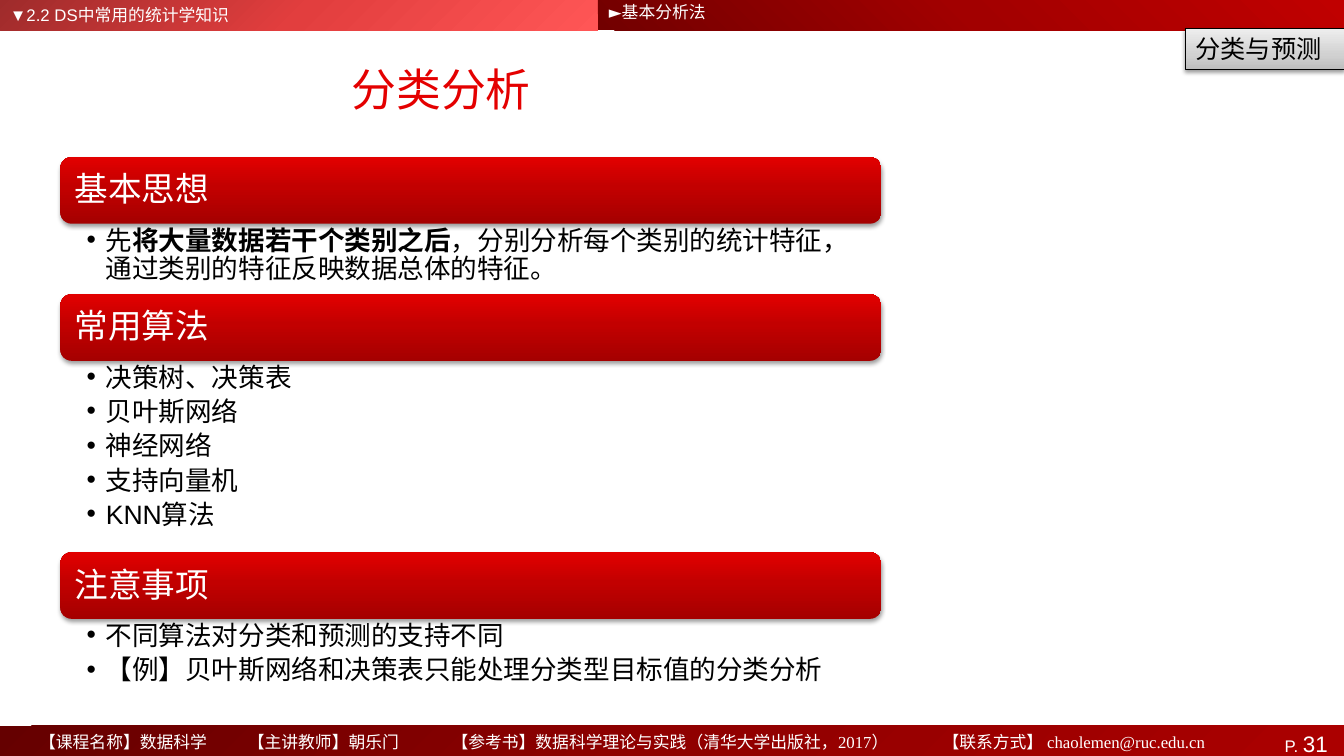
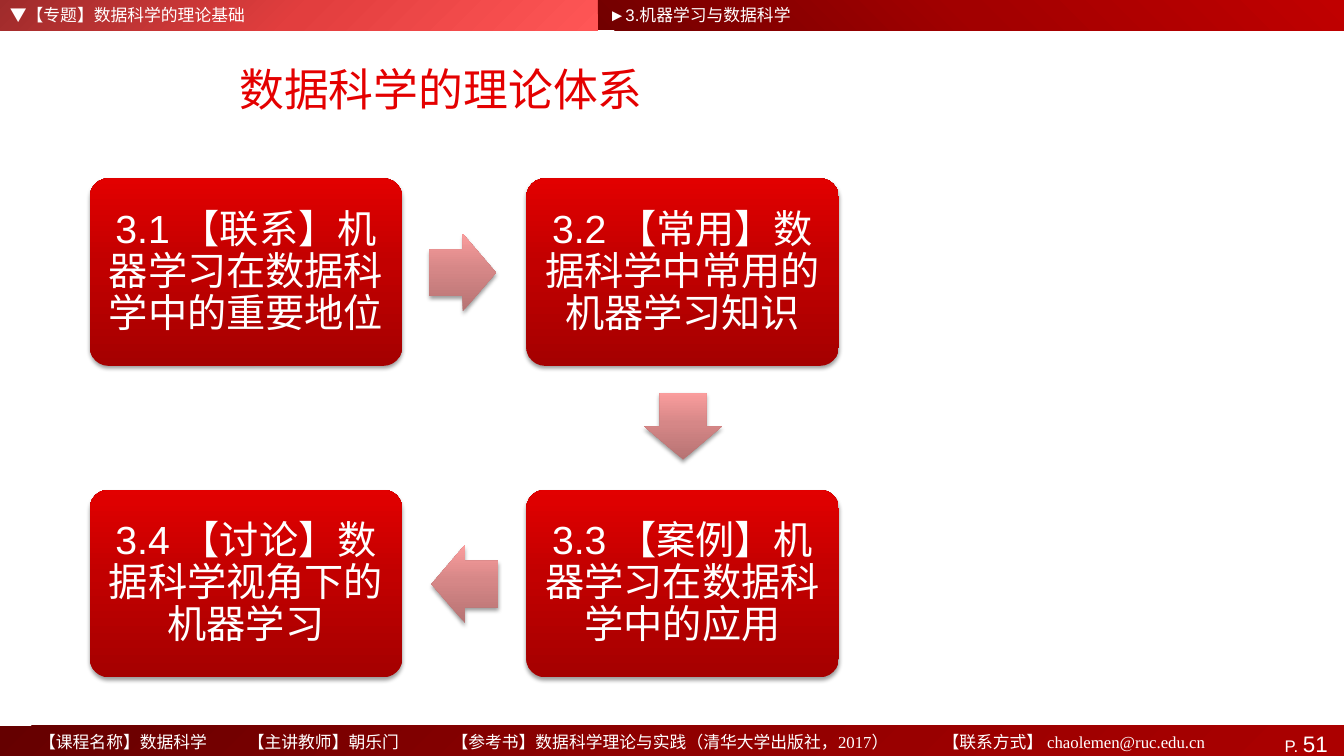
from dataclasses import dataclass
from itertools import pairwise

import pptx
import pptx.dml.color
import pptx.enum.shapes
import pptx.enum.text
import pptx.oxml
import pptx.oxml.ns
import pptx.util
from lxml import etree

Preset = pptx.enum.shapes.MSO_SHAPE
Align = pptx.enum.text.PP_ALIGN
Anchor = pptx.enum.text.MSO_ANCHOR
qn = pptx.oxml.ns.qn

# Shared look: 100 px to the inch
EMU_PER_PX = 9144
PAGE_WIDTH, PAGE_HEIGHT = 1333, 750
LATIN, SERIF, HAN = "Arial", "Times New Roman", "Noto Sans CJK SC"
WHITE, BLACK, TITLE_RED = "FFFFFF", "000000", "E40000"


@dataclass(frozen=True)
class Gradient:
    stops: tuple[tuple[int, str], ...]
    angle: int  # clockwise degrees


@dataclass(frozen=True)
class Area:
    left: int
    top: int
    width: int
    height: int

    @property
    def center(self) -> tuple[int, int]:
        return self.left + self.width // 2, self.top + self.height // 2


@dataclass(frozen=True)
class Span:
    text: str
    bold: bool = False
    size: int | None = None


@dataclass(frozen=True)
class Topic:
    top: int
    heading: str
    body_height: int
    bullets: tuple[tuple[Span, ...], ...]


CHAPTER_BAND = Gradient(((0, "9F2B2B"), (50, "E23E3E"), (100, "FF5656")), 45)
SECTION_BAND = Gradient(((0, "720000"), (50, "A20000"), (100, "C00000")), 315)
FOOTER_BAND = Gradient(((0, "650000"), (50, "900000"), (100, "AB0000")), 45)
RED_FILL = Gradient(((0, "A50000"), (55, "C20000"), (100, "E20000")), 270)
PINK_FILL = Gradient(((0, "B67373"), (55, "D68787"), (100, "FA9D9D")), 270)
GRAY_FILL = Gradient(((0, "BDBDBD"), (35, "D1D1D1"), (100, "EEEEEE")), 270)

FOOTER = "\t".join((
    "【课程名称】数据科学",
    "【主讲教师】朝乐门",
    "【参考书】数据科学理论与实践（清华大学出版社，2017）",
    "【联系方式】 chaolemen@ruc.edu.cn",
))
FOOTER_TABS = (207, 409, 896)


# Helpers
def px(length: int) -> int:
    return pptx.util.Emu(length * EMU_PER_PX)


def color(value: str) -> pptx.dml.color.RGBColor:
    return pptx.dml.color.RGBColor.from_string(value)


def place(area: Area) -> tuple[int, ...]:
    return tuple(map(px, (area.left, area.top, area.width, area.height)))


def fill_gradient(shape, gradient: Gradient) -> None:
    shape.fill.gradient()
    shape.fill.gradient_angle = (360 - gradient.angle) % 360
    stop_list = shape._element.spPr.find(".//" + qn("a:gsLst"))
    for old_stop in list(stop_list):
        stop_list.remove(old_stop)
    for position, value in gradient.stops:
        stop = etree.SubElement(stop_list, qn("a:gs"), pos=str(position * 1000))
        etree.SubElement(stop, qn("a:srgbClr"), val=value)


def add_shadow(shape) -> None:
    effects = shape._element.spPr.find(qn("a:effectLst"))
    shadow = etree.SubElement(
        effects, qn("a:outerShdw"), blurRad=str(pptx.util.Pt(3.1)),
        dist=str(pptx.util.Pt(2)), dir="5400000", rotWithShape="0")
    tint = etree.SubElement(shadow, qn("a:srgbClr"), val=BLACK)
    etree.SubElement(tint, qn("a:alpha"), val="38000")


def add_block(page, preset, area: Area, gradient: Gradient, *,
              shadow: bool = False, line: str | None = None,
              adjustments: tuple[float, ...] = ()):
    shape = page.shapes.add_shape(preset, *place(area))
    for index, value in enumerate(adjustments):
        shape.adjustments[index] = value
    fill_gradient(shape, gradient)
    if line:
        shape.line.color.rgb = color(line)
        shape.line.width = pptx.util.Pt(0.5)
    else:
        shape.line.fill.background()
    shape.shadow.inherit = False
    if shadow:
        add_shadow(shape)
    return shape


def add_bullet(para, indent: int) -> None:
    properties = para._p.get_or_add_pPr()
    properties.set("marL", str(px(indent)))
    properties.set("indent", str(px(-indent)))
    etree.SubElement(properties, qn("a:buFont"), typeface=LATIN)
    etree.SubElement(properties, qn("a:buChar"), char="•")


def add_tabs(para, stops: tuple[int, ...]) -> None:
    tab_list = etree.SubElement(para._p.get_or_add_pPr(), qn("a:tabLst"))
    for stop in stops:
        etree.SubElement(tab_list, qn("a:tab"), pos=str(px(stop)), algn="l")


def write(box, paragraphs: tuple[tuple[Span, ...], ...], *, size: int,
          ink: str = WHITE, font: str = LATIN, align=Align.LEFT,
          anchor=Anchor.TOP, inset: tuple[int, ...] = (10, 5, 10, 5),
          line: float | None = None, after: int = 0, bullet: int = 0,
          tabs: tuple[int, ...] = ()) -> None:
    frame = box.text_frame
    frame.word_wrap = True
    frame.vertical_anchor = anchor
    (frame.margin_left, frame.margin_top,
     frame.margin_right, frame.margin_bottom) = map(px, inset)
    for index, spans in enumerate(paragraphs):
        para = frame.add_paragraph() if index else frame.paragraphs[0]
        if bullet:
            add_bullet(para, bullet)
        if tabs:
            add_tabs(para, tabs)
        para.alignment = align
        para.space_after = pptx.util.Pt(after)
        if line:
            para.line_spacing = pptx.util.Pt(line)
        for span in spans:
            run = para.add_run()
            run.text = span.text
            run.font.size = pptx.util.Pt(span.size or size)
            run.font.bold = span.bold
            run.font.color.rgb = color(ink)
            run.font.name = font
            latin = run._r.rPr.find(qn("a:latin"))
            latin.addnext(latin.makeelement(qn("a:ea"), {"typeface": HAN}))


def add_text(page, area: Area, *paragraphs: tuple[Span, ...], **style) -> None:
    write(page.shapes.add_textbox(*place(area)), paragraphs, **style)


# Bands, title and footer of every page
def add_page(deck, number: int, title: str, chapter: str, section: str,
             section_line: int = 14):
    page = deck.slides.add_slide(deck.slide_layouts[6])
    split = 593
    add_block(page, Preset.RECTANGLE, Area(0, 0, split, 30), CHAPTER_BAND)
    footer = add_block(
        page, Preset.RECTANGLE, Area(0, 720, PAGE_WIDTH, 30), FOOTER_BAND)
    write(footer, ((Span("P. "), Span(str(number), size=16)),), size=12,
          align=Align.RIGHT, inset=(10, 4, 16, 0))
    add_block(page, Preset.RECTANGLE,
              Area(split, 0, PAGE_WIDTH - split, 30), SECTION_BAND)
    add_text(page, Area(29, 722, 1226, 28), (Span(FOOTER),), size=12,
             font=SERIF, line=14, inset=(10, 5, 10, 0), tabs=FOOTER_TABS)
    add_text(page, Area(43, 43, 789, 90), (Span(title),), size=32,
             ink=TITLE_RED, font=HAN, align=Align.CENTER, anchor=Anchor.MIDDLE)
    for left, width, label, line in ((0, 483, chapter, 14),
                                     (split + 1, 372, section, section_line)):
        add_text(page, Area(left, 0, width, 29), (Span(label),), size=12, line=line)
    return page


# Page 31: headings with bullets
TOPICS = (
    Topic(156, "基本思想", 69, ((
        Span("先"), Span("将大量数据若干个类别之后", bold=True),
        Span("，分别分析每个类别的统计特征，通过类别的特征反映数据总体的特征。")),)),
    Topic(292, "常用算法", 190, (
        (Span("决策树、决策表"),), (Span("贝叶斯网络"),), (Span("神经网络"),),
        (Span("支持向量机"),), (Span("KNN算法"),))),
    Topic(548, "注意事项", 76, (
        (Span("不同算法对分类和预测的支持不同"),),
        (Span("【例】贝叶斯网络和决策表只能处理分类型目标值的分类分析"),))),
)


def build_classification(deck) -> None:
    page = add_page(deck, 31, "分类分析", "▼2.2 DS中常用的统计学知识",
                    "►基本分析法", section_line=12)
    left, width, bar_height = 60, 814, 66
    for topic in TOPICS:
        bar = add_block(page, Preset.ROUNDED_RECTANGLE,
                        Area(left, topic.top, width, bar_height), RED_FILL,
                        shadow=True)
        write(bar, ((Span(topic.heading),),), size=24, anchor=Anchor.MIDDLE,
              inset=(11, 3, 11, 7))
        add_text(page, Area(left, topic.top + bar_height, width, topic.body_height),
                 *topic.bullets, size=19, ink=BLACK, line=20.5, after=4,
                 bullet=19, inset=(26, 3, 19, 3))
    tag = add_block(page, Preset.RECTANGLE, Area(1176, 28, 157, 41), GRAY_FILL,
                    shadow=True, line=BLACK)
    write(tag, ((Span("分类与预测"),),), size=18, ink=BLACK, line=22)


# Page 51: four cards in a loop
CARDS = (
    (0, 0, "3.1 【联系】机器学习在数据科学中的重要地位"),
    (1, 0, "3.2 【常用】数据科学中常用的机器学习知识"),
    (1, 1, "3.3 【案例】机器学习在数据科学中的应用"),
    (0, 1, "3.4 【讨论】数据科学视角下的机器学习"),
)
ARROWS = {
    (1, 0): (Preset.RIGHT_ARROW, 66, 77),
    (0, 1): (Preset.DOWN_ARROW, 77, 66),
    (-1, 0): (Preset.LEFT_ARROW, 66, 77),
}


def add_arrow(page, start: Area, end: Area, step: tuple[int, int]) -> None:
    preset, width, height = ARROWS[step]
    lag = 1
    x, y = ((a + b) // 2 - lag * move
            for a, b, move in zip(start.center, end.center, step))
    add_block(page, preset, Area(x - width // 2, y - height // 2, width, height),
              PINK_FILL, shadow=True, adjustments=(0.6, 0.5))


def build_theory(deck) -> None:
    page = add_page(deck, 51, "数据科学的理论体系", "▼【专题】数据科学的理论基础",
                    "►3.机器学习与数据科学")
    areas = [Area(89 + column * 433, 177 + row * 309, 310, 186)
             for column, row, _ in CARDS]
    for area, (_, _, label) in zip(areas, CARDS):
        card = add_block(page, Preset.ROUNDED_RECTANGLE, area, RED_FILL,
                         shadow=True, adjustments=(0.1,))
        write(card, ((Span(label),),), size=28, align=Align.CENTER,
              anchor=Anchor.MIDDLE, line=30, inset=(11, 12, 11, 12))
    for (start, first), (end, second) in pairwise(zip(areas, CARDS)):
        add_arrow(page, start, end, (second[0] - first[0], second[1] - first[1]))


def main() -> None:
    deck = pptx.Presentation()
    deck.slide_width, deck.slide_height = px(PAGE_WIDTH), px(PAGE_HEIGHT)
    build_classification(deck)
    build_theory(deck)
    deck.save("out.pptx")


if __name__ == "__main__":
    main()
